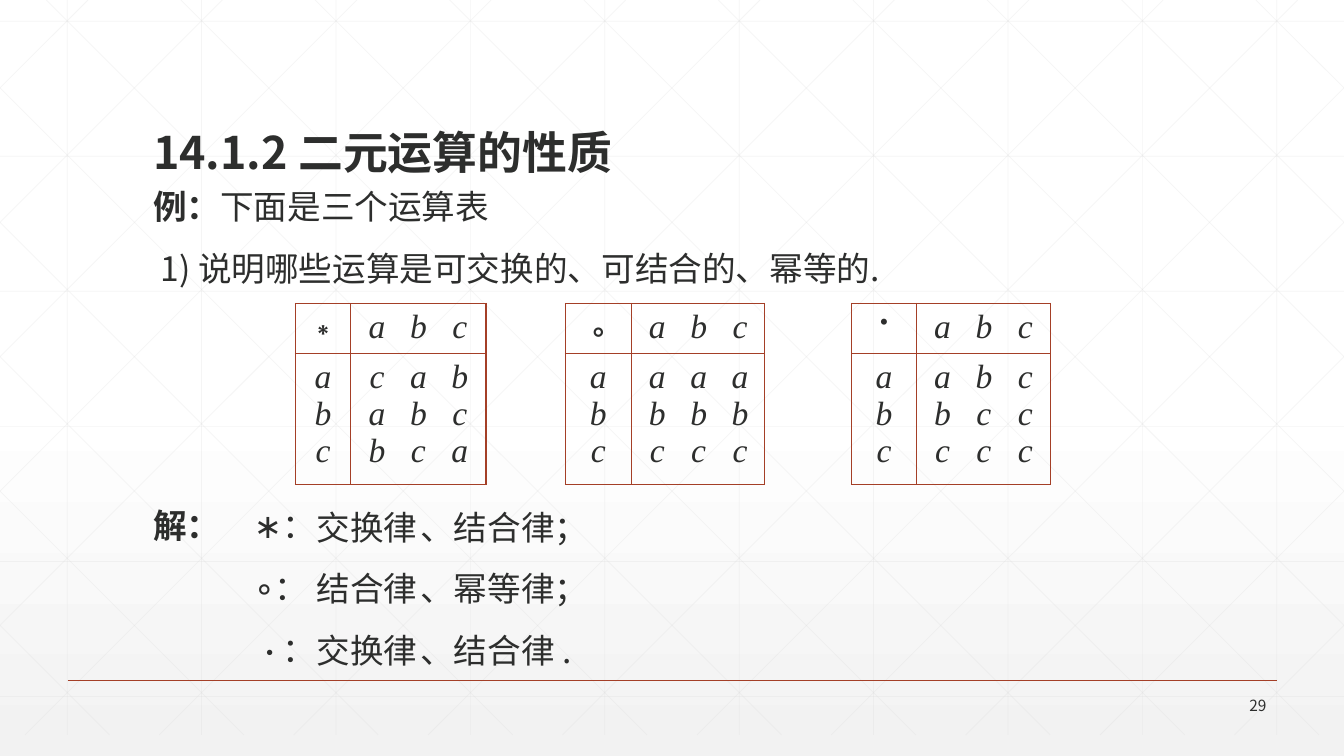
import copy
from dataclasses import dataclass

import pptx
import pptx.dml.color
import pptx.enum.shapes
import pptx.enum.text
import pptx.oxml
import pptx.oxml.ns
import pptx.util
from lxml import etree

Inches = pptx.util.Inches
Pt = pptx.util.Pt
qn = pptx.oxml.ns.qn
ALIGN = pptx.enum.text.PP_ALIGN
ANCHOR = pptx.enum.text.MSO_ANCHOR


@dataclass(frozen=True)
class Theme:
    ink: str = "2D2E2D"
    accent: str = "A43F27"
    grid: str = "D9D9D9"
    white: str = "FFFFFF"
    shade: str = "F2F2F2"
    sans: str = "Noto Sans CJK SC"
    serif: str = "Times New Roman"
    mono: str = "Noto Sans Mono"
    title: int = 32
    body: int = 24
    dot: int = 18
    small: int = 12
    number: int = 11


THEME = Theme()
WIDTH, HEIGHT = 13.33, 7.5

OPERATIONS = [
    ("∗", THEME.serif, THEME.body, ["c a b", "a b c", "b c a"]),
    ("∘", THEME.mono, THEME.body, ["a a a", "b b b", "c c c"]),
    ("•", THEME.serif, THEME.dot, ["a b c", "b c c", "c c c"]),
]
TABLE_COLUMNS = [0.55, 1.34, 0.79, 0.65, 1.32, 0.87, 0.64, 1.33]
TABLE_ROWS = [0.5, 1.3]
GAP_COLUMNS = (2, 5)
ANSWERS = [("交换律", "、结合律；"), ("结合律", "、幂等律；"), ("交换律", "、结合律 .")]


def rgb(color):
    return pptx.dml.color.RGBColor.from_string(color)


def add_run(paragraph, text, *, size=THEME.body, font=THEME.sans,
            east_font=THEME.sans, bold=False, italic=False):
    run = paragraph.add_run()
    run.text = text
    run.font.size = Pt(size)
    run.font.name = font
    run.font.bold = bold
    run.font.italic = italic
    run.font.color.rgb = rgb(THEME.ink)
    east = etree.SubElement(run._r.get_or_add_rPr(), qn("a:ea"))
    east.set("typeface", east_font)


def add_tabs(paragraph, stops, align):
    tabs = etree.SubElement(paragraph._p.get_or_add_pPr(), qn("a:tabLst"))
    for stop in stops:
        etree.SubElement(tabs, qn("a:tab"), pos=str(Inches(stop)), algn=align)


def fill_text(frame, paragraphs, *, align=ALIGN.LEFT, line=None, before=0,
              tabs=(), tab_align="l"):
    """Fill a frame from paragraphs, each a list of (text, run format) pairs."""
    for index, runs in enumerate(paragraphs):
        paragraph = frame.add_paragraph() if index else frame.paragraphs[0]
        if tabs:
            add_tabs(paragraph, tabs, tab_align)
        paragraph.alignment = align
        if line:
            paragraph.line_spacing = line
        if index and before:
            paragraph.space_before = Pt(before)
        for text, style in runs:
            add_run(paragraph, text, **style)


def add_text(slide, box, paragraphs, *, anchor=ANCHOR.TOP, wrap=True, **layout):
    frame = slide.shapes.add_textbox(*map(Inches, box)).text_frame
    frame.word_wrap = wrap
    frame.vertical_anchor = anchor
    fill_text(frame, paragraphs, **layout)


def add_line(slide, start, end, color, width, opacity=100):
    connector = slide.shapes.add_connector(
        pptx.enum.shapes.MSO_CONNECTOR.STRAIGHT, *map(Inches, (*start, *end)))
    connector.line.color.rgb = rgb(color)
    connector.line.width = Pt(width)
    properties = connector._element.spPr
    if opacity < 100:
        fill = next(properties.iter(qn("a:srgbClr")))
        etree.SubElement(fill, qn("a:alpha"), val=str(opacity * 1000))
    etree.SubElement(properties, qn("a:effectLst"))


def add_background(slide):
    fill = slide.background.fill
    fill.gradient()
    fill.gradient_angle = 270
    stops = next(slide._element.iter(qn("a:gsLst")))
    stops.insert(1, copy.deepcopy(stops[0]))
    settings = [(0, THEME.white), (0.53, THEME.white), (1, THEME.shade)]
    for stop, (position, color) in zip(fill.gradient_stops, settings):
        stop.position = position
        stop.color.rgb = rgb(color)
    last_color = stops[-1].find(qn("a:srgbClr"))
    etree.SubElement(last_color, qn("a:alpha"), val="65000")


def add_grid(slide, width, bottom):
    """Draw upright, level and mirrored diagonal lines, cut at the slide edges."""
    step = WIDTH / 10
    lines = [((step * (k + 0.5), 0), (step * (k + 0.5), bottom)) for k in range(10)]
    lines += [((0, 0.21 + 1.34 * k), (width, 0.21 + 1.34 * k)) for k in range(6)]
    for k in range(-5, 10):
        top_x = 0.46 + step * k
        left, right = max(0, top_x), min(width, top_x + bottom)
        for mirror in (False, True):
            ends = [(width - x if mirror else x, x - top_x) for x in (left, right)]
            lines.append(ends)
    for start, end in lines:
        add_line(slide, start, end, THEME.grid, 0.5, 25)


def set_borders(cell, visible):
    """Draw the listed sides of a cell and clear the others."""
    properties = cell._tc.get_or_add_tcPr()
    for index, side in enumerate("LRTB"):
        border = etree.Element(qn(f"a:ln{side}"), w=str(Pt(1)))
        if side in visible:
            fill = etree.SubElement(border, qn("a:solidFill"))
            etree.SubElement(fill, qn("a:srgbClr"), val=THEME.accent)
        else:
            etree.SubElement(border, qn("a:noFill"))
        properties.insert(index, border)


def add_operation_tables(slide, left, top):
    table = slide.shapes.add_table(
        len(TABLE_ROWS), len(TABLE_COLUMNS), Inches(left), Inches(top),
        Inches(sum(TABLE_COLUMNS)), Inches(sum(TABLE_ROWS))).table
    table.first_row = table.horz_banding = False
    for column, width in zip(table.columns, TABLE_COLUMNS):
        column.width = Inches(width)
    for row, height in zip(table.rows, TABLE_ROWS):
        row.height = Inches(height)
    for row in range(len(TABLE_ROWS)):
        for column in range(len(TABLE_COLUMNS)):
            cell = table.cell(row, column)
            cell.fill.background()
            set_borders(cell, "LR" if column in GAP_COLUMNS else "LRTB")
    for column in GAP_COLUMNS:
        table.cell(0, column).merge(table.cell(1, column))

    letter = dict(font=THEME.serif, east_font=THEME.serif, italic=True)
    for index, (symbol, font, size, results) in enumerate(OPERATIONS):
        column = 3 * index
        symbol_style = dict(font=font, east_font=font, size=size)
        fill_text(table.cell(0, column).text_frame, [[(symbol, symbol_style)]],
                  align=ALIGN.CENTER)
        fill_text(table.cell(1, column).text_frame,
                  [[(name, letter)] for name in "abc"],
                  align=ALIGN.CENTER, line=Pt(26.4))
        for row, lines in enumerate((["a b c"], results)):
            paragraphs = [[("\t" + line.replace(" ", "\t"), letter)] for line in lines]
            fill_text(table.cell(row, column + 1).text_frame, paragraphs,
                      line=Pt(26.4), tabs=(0.16, 0.57, 0.98), tab_align="ctr")


def add_answers(slide, left, top):
    serif = dict(font=THEME.serif)
    labels = [
        [("解：\t", dict(serif, bold=True)), ("∗：", serif)],
        [("\t∘：", serif)],
        [("\t", serif), (" ", dict(serif, size=THEME.small)),
         ("•", dict(serif, size=THEME.dot)), ("：", serif)],
    ]
    add_text(slide, (left, top, 10.5, 1.7), labels,
             line=Pt(26.3), before=18, tabs=(1,))
    for row, (first, second) in enumerate(ANSWERS):
        y = top - 0.03 + 0.61 * row
        for text, x, width in ((first, 1.62, 1.21), (second, 2.65, 1.88)):
            add_text(slide, (left + x, y, width, 0.5), [[(text, {})]],
                     wrap=False, line=Pt(30))


def add_example_slide(presentation):
    slide = presentation.slides.add_slide(presentation.slide_layouts[6])
    add_background(slide)
    add_grid(slide, WIDTH, 7.29)
    add_line(slide, (0.67, 6.75), (12.67, 6.75), THEME.accent, 1)
    add_text(slide, (1.42, 0.58, 10.5, 1.25),
             [[("14.1.2 二元运算的性质", dict(size=THEME.title, bold=True))]],
             anchor=ANCHOR.BOTTOM, line=0.9)
    add_text(slide, (1.42, 1.83, 10.5, 1.08),
             [[("例：", dict(bold=True)), ("下面是三个运算表", {})],
              [(" 1) 说明哪些运算是可交换的、可结合的、幂等的.", {})]],
             line=Pt(26.3), before=18)
    add_operation_tables(slide, 2.93, 3.01)
    add_answers(slide, 1.42, 4.99)
    add_text(slide, (11.66, 6.88, 1, 0.24), [[("29", dict(size=THEME.number))]],
             anchor=ANCHOR.MIDDLE, align=ALIGN.RIGHT)


def main():
    presentation = pptx.Presentation()
    presentation.slide_width = Inches(WIDTH)
    presentation.slide_height = Inches(HEIGHT)
    add_example_slide(presentation)
    presentation.save("out.pptx")


if __name__ == "__main__":
    main()
